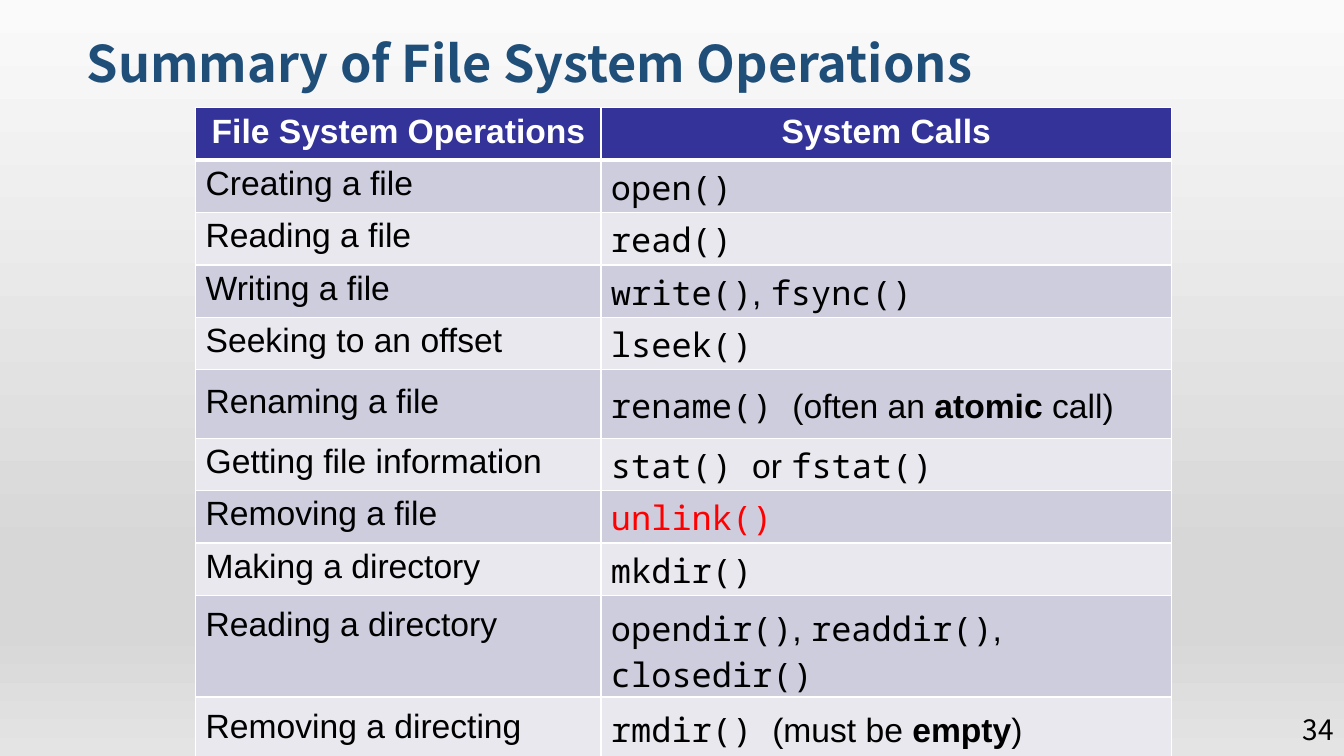
import copy

import pptx
import pptx.dml.color
import pptx.enum.text
import pptx.oxml
import pptx.oxml.ns
import pptx.util
from pptx.util import Inches

COLORS = {
    "title": "1F4E79", "header": "333399", "band": "CDCDDE", "plain": "E8E8EE",
    "white": "FFFFFF", "black": "000000", "red": "FF0000",
}
BACKDROP = [(0, "FAFAFA"), (0.74, "D7D7D7"), (0.83, "D7D7D7"), (1, "E4E4E4")]
SANS, MONO, HEADING = "Arial", "Noto Sans Mono", "Noto Sans CJK TC"

# Operation, row height, gap above the text in points, runs of the system call
ROWS = [
    ("Creating a file", 0.52, 3.5, [("open()", "code")]),
    ("Reading a file", 0.52, 3.5, [("read()", "code")]),
    ("Writing a file", 0.52, 3.5,
     [("write()", "code"), (", ", "text"), ("fsync()", "code")]),
    ("Seeking to an offset", 0.52, 3.5, [("lseek()", "code")]),
    ("Renaming a file", 0.68, 9.6,
     [("rename() ", "code"), ("(often an ", "text"), ("atomic ", "bold"), ("call)", "text")]),
    ("Getting file information", 0.52, 3.5,
     [("stat() ", "code"), ("or ", "text"), ("fstat()", "code")]),
    ("Removing a file", 0.52, 3.5, [("unlink()", "warning")]),
    ("Making a directory", 0.52, 3.5, [("mkdir()", "code")]),
    ("Reading a directory", 0.63, 7.6,
     [("opendir()", "code"), (", ", "text"), ("readdir()", "code"), (", ", "text"),
      ("closedir()", "code")]),
    ("Removing a directing", 0.63, 7.6,
     [("rmdir() ", "code"), ("(must be ", "text"), ("empty", "bold"), (")", "text")]),
]


def set_font(font, name, size, color, bold=False):
    font.name = name
    font.size = pptx.util.Pt(size)
    font.bold = bold
    font.color.rgb = pptx.dml.color.RGBColor.from_string(COLORS[color])


def fill_cell(cell, runs, fill, color, indent, gap, borders):
    # Borders come before the fill in the cell properties
    properties = cell._tc.get_or_add_tcPr()
    for side, points in borders.items():
        properties.append(pptx.oxml.parse_xml(
            f'<a:ln{side} {pptx.oxml.ns.nsdecls("a")} w="{pptx.util.Pt(points)}">'
            f'<a:solidFill><a:srgbClr val="{COLORS["white"]}"/></a:solidFill></a:ln{side}>'))
    cell.fill.solid()
    cell.fill.fore_color.rgb = pptx.dml.color.RGBColor.from_string(COLORS[fill])
    cell.margin_left, cell.margin_top = Inches(indent), pptx.util.Pt(gap)
    cell.margin_right = cell.margin_bottom = 0
    line = cell.text_frame.paragraphs[0]
    line.space_before = pptx.util.Pt(gap)
    for text, style in runs:
        run = line.add_run()
        run.text = text
        set_font(run.font, MONO if style in ("code", "warning") else SANS, 24,
                 "red" if style == "warning" else color, style == "bold")
    return line


deck = pptx.Presentation()
deck.slide_width, deck.slide_height = Inches(13.33), Inches(7.5)
slide = deck.slides.add_slide(deck.slide_layouts[5])

# Background gradient, top to bottom
backdrop = slide.background.fill
backdrop.gradient()
backdrop.gradient_angle = 270
stop_list = next(slide.element.iter(pptx.oxml.ns.qn("a:gsLst")))
while len(stop_list) < len(BACKDROP):
    stop_list.append(copy.deepcopy(stop_list[0]))
for stop, (position, shade) in zip(backdrop.gradient_stops, BACKDROP):
    stop.position = position
    stop.color.rgb = pptx.dml.color.RGBColor.from_string(shade)

# Title
title = slide.shapes.title
title.left, title.top = Inches(0.76), Inches(0.21)
title.width, title.height = Inches(11.31), Inches(0.77)
title.text_frame.text = "Summary of File System Operations"
title.text_frame.auto_size = pptx.enum.text.MSO_AUTO_SIZE.NONE
title.text_frame.vertical_anchor = pptx.enum.text.MSO_ANCHOR.BOTTOM
heading = title.text_frame.paragraphs[0]
heading.alignment = pptx.enum.text.PP_ALIGN.LEFT
heading.line_spacing = 0.9
set_font(heading.font, HEADING, 36, "title", True)

# Table of operations and their system calls
operations = slide.shapes.add_table(
    len(ROWS) + 1, 2, Inches(1.94), Inches(1.07), Inches(9.68), Inches(6.1)).table
operations.columns[0].width, operations.columns[1].width = Inches(4.02), Inches(5.66)
operations.rows[0].height = Inches(0.52)

header_borders = {"L": 1, "R": 1, "T": 1, "B": 3}
fill_cell(operations.cell(0, 0), [("File System Operations", "bold")],
          "header", "white", 0.16, 3.5, header_borders)
calls_header = fill_cell(operations.cell(0, 1), [("System Calls", "bold")],
                         "header", "white", 0, 3.5, header_borders)
calls_header.alignment = pptx.enum.text.PP_ALIGN.CENTER

for row, (operation, height, gap, calls) in enumerate(ROWS, start=1):
    operations.rows[row].height = Inches(height)
    fill = "band" if row % 2 else "plain"
    borders = {"L": 1, "R": 1, "T": 3 if row == 1 else 1, "B": 1}
    fill_cell(operations.cell(row, 0), [(operation, "text")],
              fill, "black", 0.1, gap, borders)
    fill_cell(operations.cell(row, 1), calls, fill, "black", 0.1, gap - 0.6, borders)

# Page number
page = slide.shapes.add_textbox(Inches(12.08), Inches(7.14), Inches(1.25), Inches(0.2))
page.text_frame.word_wrap = True
page.text_frame.vertical_anchor = pptx.enum.text.MSO_ANCHOR.MIDDLE
page.text_frame.text = "34"
number = page.text_frame.paragraphs[0]
number.alignment = pptx.enum.text.PP_ALIGN.RIGHT
set_font(number.font, HEADING, 20, "black")

deck.save("out.pptx")
